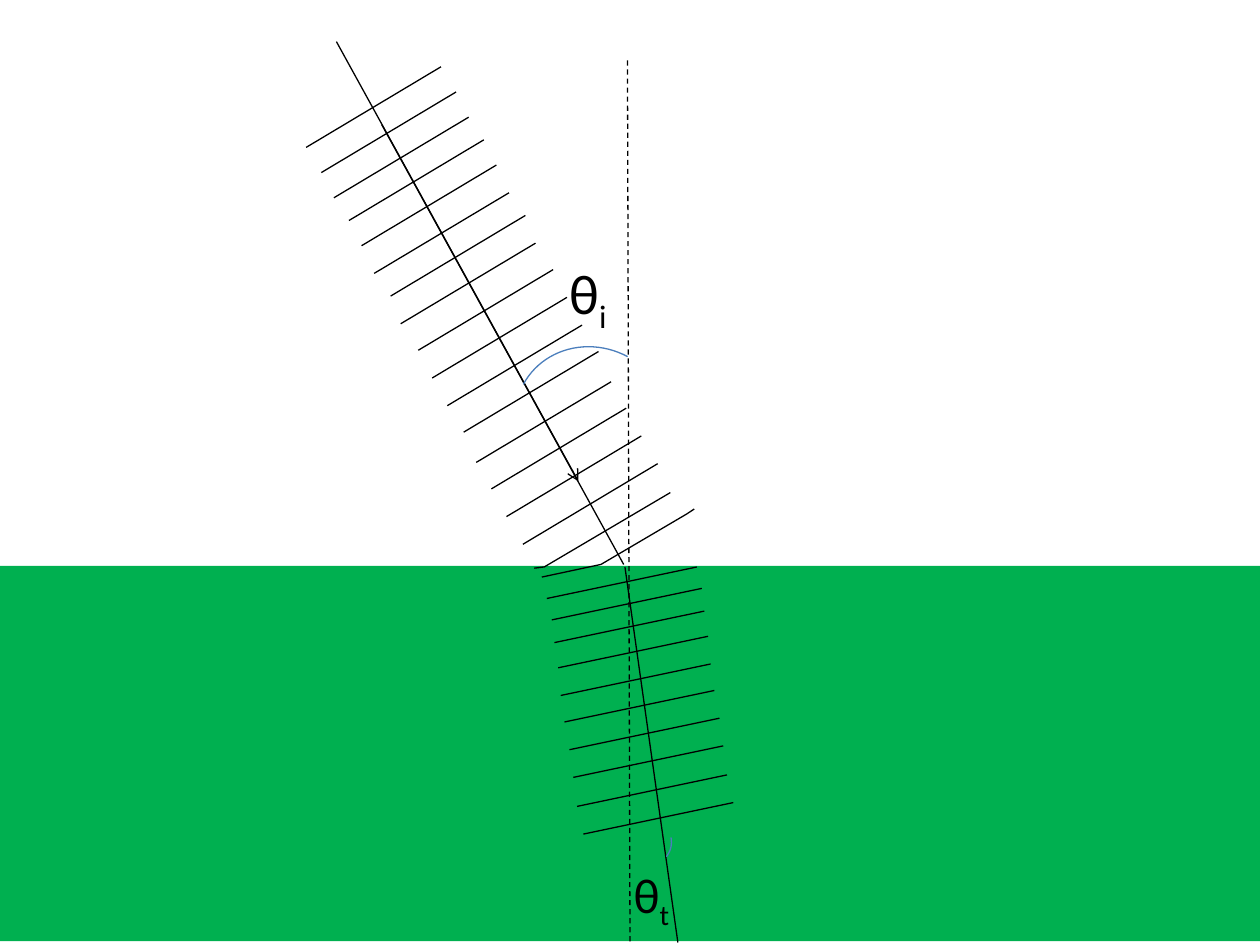
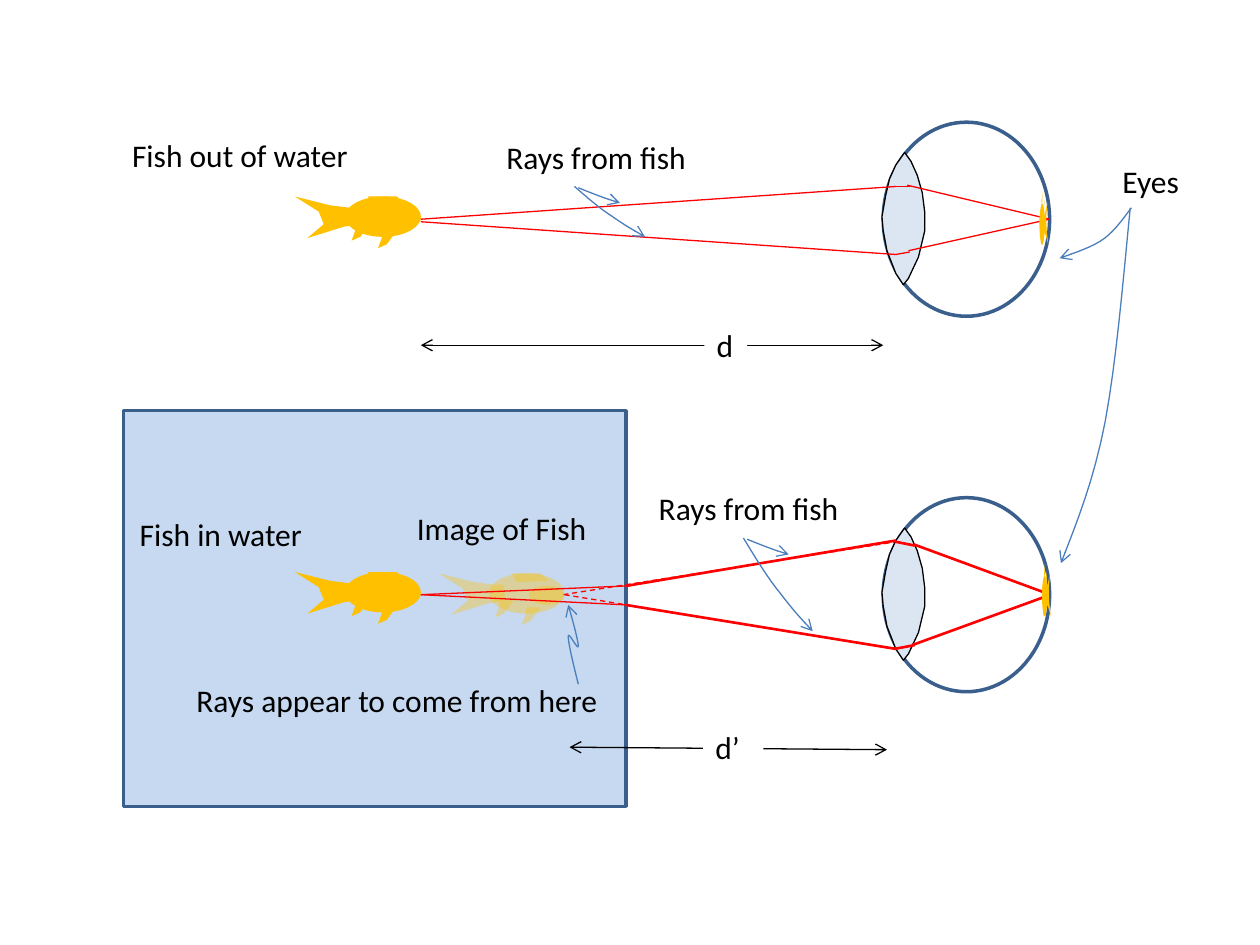
from typing import NamedTuple

from lxml.etree import SubElement
from pptx import Presentation
from pptx.dml.color import RGBColor
from pptx.enum.dml import MSO_LINE_DASH_STYLE as DASH
from pptx.enum.shapes import MSO_CONNECTOR as CONN, MSO_SHAPE as SHAPE
from pptx.enum.text import MSO_AUTO_SIZE as FIT
from pptx.oxml.ns import qn
from pptx.util import Inches, Pt

COLS, ROWS = 10, 7.5
SLIDE_W, SLIDE_H = Inches(COLS), Inches(ROWS)
FONT = "Calibri"
BLACK = RGBColor(0x00, 0x00, 0x00)
WHITE = RGBColor(0xFF, 0xFF, 0xFF)
GREEN = RGBColor(0x00, 0xB0, 0x50)
POINTER_BLUE = RGBColor(0x4B, 0x7E, 0xBC)
OUTLINE_BLUE = RGBColor(0x3A, 0x5F, 0x8C)
WATER_BLUE = RGBColor(0xC6, 0xD9, 0xF1)
LENS_BLUE = RGBColor(0xDC, 0xE6, 0xF2)
GOLD = RGBColor(0xFF, 0xC0, 0x00)
RED = RGBColor(0xFF, 0x00, 0x00)

INCIDENT_FRONTS = [
    (2.43, 1.17), (2.55, 1.37), (2.65, 1.57), (2.77, 1.75),
    (2.87, 1.95), (2.97, 2.17), (3.1, 2.35), (3.18, 2.57),
    (3.32, 2.78), (3.43, 3), (3.55, 3.22), (3.68, 3.43),
    (3.78, 3.67), (3.9, 3.88), (4.02, 4.1), (4.15, 4.32)]
BENT_FRONTS = [
    [(4.24, 4.51), (4.32, 4.5), (5.32, 3.91)],
    [(4.3, 4.58), (4.77, 4.48), (5.45, 4.08), (5.51, 4.04)]]
REFRACTED_FRONTS = [
    (4.34, 0.26), (4.38, 0.43), (4.4, 0.61), (4.43, 0.81), (4.45, 1.03),
    (4.48, 1.24), (4.52, 1.46), (4.55, 1.68), (4.58, 1.91), (4.63, 2.13)]

FISH_COLS, FISH_ROWS = 100, 41
FISH_OVALS = [(40, 0, 100, 32), (72, 10, 100, 25)]
FISH_TAIL = [(44, 9), (28, 7), (0, 0), (19, 12), (23, 22),
             (10, 33), (39, 24), (53, 22), (52, 9)]
FISH_FINS = [
    [(81, 27), (73, 38), (66, 41), (69, 33), (70, 27)],
    [(60, 21), (52, 32), (45, 35), (48, 27), (49, 22)],
    [(87, 6), (81, 0), (58, 0), (62, 7)]]
LENS = [(0.17, 0.24), (0.1, 0.34), (0.05, 0.45), (0.02, 0.58), (-0.01, 0.75),
        (0, 0.86), (0.03, 1.02), (0.1, 1.2), (0.16, 1.29), (0.2, 1.24),
        (0.28, 1.07), (0.33, 0.86), (0.33, 0.72), (0.31, 0.56),
        (0.27, 0.42), (0.22, 0.31)]


class Box(NamedTuple):
    """A region measured in grid columns and rows."""
    left: float
    top: float
    width: float
    height: float

    def at(self, x, y):
        """Return the grid point x columns and y rows into the box."""
        return self.left + x, self.top + y

    def share(self, u, v):
        """Return the grid point at shares u and v of the box."""
        return self.left + u * self.width, self.top + v * self.height

    def sub(self, x, y, width, height):
        """Return a box placed inside this one."""
        return Box(*self.at(x, y), width, height)

    def emu(self):
        """Return the box as slide lengths."""
        return (*emu(self.left, self.top), *emu(self.width, self.height))


def emu(x, y):
    """Turn columns and rows into slide lengths."""
    return round(x * SLIDE_W / COLS), round(y * SLIDE_H / ROWS)


def add_heads(sp, ends):
    """Put open arrowheads on the named ends of a line."""
    ln = sp._element.spPr.find(qn("a:ln"))
    for end in ends:
        SubElement(ln, qn(f"a:{end}")).set("type", "arrow")


def paint(sp, fill=None, line=None, width=0.75, alpha=None):
    """Set the fill, outline and opacity of a shape."""
    sp.shadow.inherit = False
    if fill is None:
        sp.fill.background()
    else:
        sp.fill.solid()
        sp.fill.fore_color.rgb = fill
        if alpha:
            color = sp._element.spPr.find(qn("a:solidFill"))[0]
            SubElement(color, qn("a:alpha")).set("val", str(alpha * 1000))
    if line is None:
        sp.line.fill.background()
    else:
        sp.line.color.rgb = line
        sp.line.width = Pt(width)
    return sp


def add_preset(shapes, kind, box, **style):
    """Add a painted preset shape."""
    return paint(shapes.add_shape(kind, *box.emu()), **style)


def add_outline(shapes, points, close=True, heads=(), **style):
    """Add a freeform through grid points."""
    first, *rest = [emu(*point) for point in points]
    builder = shapes.build_freeform(*first)
    builder.add_line_segments(rest, close=close)
    sp = paint(builder.convert_to_shape(), **style)
    add_heads(sp, heads)
    return sp


def add_line(shapes, start, end, color=BLACK, width=0.75, dash=False, heads=()):
    """Add a straight line between two grid points."""
    sp = shapes.add_connector(CONN.STRAIGHT, *emu(*start), *emu(*end))
    sp.line.color.rgb = color
    sp.line.width = Pt(width)
    if dash:
        sp.line.dash_style = DASH.DASH
    add_heads(sp, heads)
    SubElement(sp._element.spPr, qn("a:effectLst"))


def add_text(slide, box, text, size=18, subscript="", wrap=False, fill=None):
    """Add a label with an optional subscript."""
    sp = slide.shapes.add_textbox(*box.emu())
    if fill is not None:
        sp.fill.solid()
        sp.fill.fore_color.rgb = fill
    tf = sp.text_frame
    tf.word_wrap = wrap
    tf.auto_size = FIT.SHAPE_TO_FIT_TEXT
    p = tf.paragraphs[0]
    p.font.name, p.font.size, p.font.color.rgb = FONT, Pt(size), BLACK
    p.add_run().text = text
    if subscript:
        r = p.add_run()
        r.text = subscript
        r._r.get_or_add_rPr().set("baseline", "-25000")


def bezier(a, b, c, d, steps=8):
    """Return points along a cubic curve, without its start."""
    ts = [i / steps for i in range(1, steps + 1)]
    return [tuple((1 - t) ** 3 * i + 3 * (1 - t) ** 2 * t * j
                  + 3 * (1 - t) * t * t * k + t ** 3 * m
                  for i, j, k, m in zip(a, b, c, d)) for t in ts]


def add_pointer(slide, box, knots):
    """Add a curved arrow whose knots are shares of the box."""
    knots = [box.share(*knot) for knot in knots]
    points = knots[:1]
    for i in range(0, len(knots) - 1, 3):
        points += bezier(*knots[i:i + 4])
    add_outline(slide.shapes, points, close=False, heads=["tailEnd"],
                line=POINTER_BLUE)


def add_angle(slide, box, start=270, end=0):
    """Add an angle mark turned towards the ray."""
    arc = add_preset(slide.shapes, SHAPE.ARC, box, line=POINTER_BLUE)
    arc.adjustments[0], arc.adjustments[1] = start * 0.6, end * 0.6
    arc.rotation = 298.2


def add_incident_wave(slide, box):
    """Draw the ray and wavefronts above the boundary."""
    shapes = slide.shapes
    add_line(shapes, box.at(3.03, 0.99), box.at(4.95, 4.48))
    add_line(shapes, box.at(2.67, 0.33), box.at(4.59, 3.82), heads=["tailEnd"])
    for x, y in INCIDENT_FRONTS:
        add_line(shapes, box.at(x, y), box.at(x + 1.07, y - 0.64))
    for front in BENT_FRONTS:
        add_outline(shapes, [box.at(*point) for point in front],
                    close=False, line=BLACK)
    add_text(slide, box.sub(4.42, 2, 0.98, 0.64), "θ", 32, "i", wrap=True)
    add_angle(slide, box.sub(4.12, 2.72, 1.17, 1.25))


def add_refracted_wave(slide, box):
    """Draw the ray and wavefronts below the boundary."""
    add_line(slide.shapes, box.at(4.96, 0.01), box.at(5.38, 2.99))
    for x, y in REFRACTED_FRONTS:
        add_line(slide.shapes, box.at(x, y), box.at(x + 1.19, y - 0.25))
    add_text(slide, box.sub(4.93, 2.32, 0.98, 0.57), "θ", 28, "t", wrap=True)
    add_angle(slide, box.sub(4.86, 1.89, 0.43, 0.53), 62.07, 97.43)


def build_refraction(slide):
    """Build the slide of a wave that bends at a boundary."""
    air, medium = Box(0, 0, COLS, 4.49), Box(0, 4.49, COLS, 2.98)
    add_preset(slide.shapes, SHAPE.RECTANGLE, medium, fill=GREEN)
    add_line(slide.shapes, (4.98, 0.48), (5, 7.48), dash=True)
    add_incident_wave(slide, air)
    add_refracted_wave(slide, medium)


def add_fish(slide, box, flipped=False, alpha=None):
    """Draw a fish that fills the box, turned over if flipped."""
    def place(col, row):
        u, v = col / FISH_COLS, row / FISH_ROWS
        return box.share(1 - u, 1 - v) if flipped else box.share(u, v)

    shapes = slide.shapes.add_group_shape().shapes
    body, head = [
        sorted([place(*oval[:2]), place(*oval[2:])]) for oval in FISH_OVALS]
    outlines = [FISH_TAIL, *FISH_FINS]
    for part in (body, *outlines, head):
        if part in outlines:
            add_outline(shapes, [place(*point) for point in part],
                        fill=GOLD, alpha=alpha)
        else:
            (x0, y0), (x1, y1) = part
            oval = Box(x0, min(y0, y1), x1 - x0, abs(y1 - y0))
            add_preset(shapes, SHAPE.OVAL, oval, fill=GOLD, alpha=alpha)


def add_eye(slide, box):
    """Draw an eyeball with its lens."""
    add_preset(slide.shapes, SHAPE.OVAL, box, fill=WHITE,
               line=OUTLINE_BLUE, width=2)
    add_outline(slide.shapes, [box.at(*point) for point in LENS],
                fill=LENS_BLUE, line=BLACK)


def add_rays(slide, box, rays, **style):
    """Draw a group of red rays."""
    shapes = slide.shapes.add_group_shape().shapes
    for x0, y0, x1, y1 in rays:
        add_line(shapes, box.at(x0, y0), box.at(x1, y1), RED, **style)


def add_distance(slide, box, start, end, label, label_box):
    """Draw a dimension line with its label."""
    add_line(slide.shapes, box.at(*start), box.at(*end),
             heads=["headEnd", "tailEnd"])
    add_text(slide, box.sub(*label_box), label, wrap=True, fill=WHITE)


def add_ray_pointers(slide, box):
    """Point from a label to both rays."""
    add_pointer(slide, box, [(0, 0), (0.18, 0.22), (0.36, 0.44), (0.54, 0.6),
                             (0.7, 0.76), (0.85, 0.88), (1, 1)])
    add_pointer(slide, Box(box.left + 0.03, box.top + 0.01, 0.33, 0.12),
                [(0, 0), (0.18, 0.2), (0.36, 0.4), (0.54, 0.58),
                 (0.7, 0.75), (0.85, 0.88), (1, 1)])


def add_scene(slide, box):
    """Draw the fish and the eye that both scenes share."""
    add_eye(slide, box.sub(7.01, 0, 1.32, 1.54))
    add_fish(slide, box.sub(2.34, 0.59, 1, 0.41))


def add_dry_scene(slide, box):
    """Draw the fish seen through air."""
    add_scene(slide, box)
    add_rays(slide, box, [(3.34, 0.79, 7.11, 1.05), (8.33, 0.77, 7.21, 1.02),
                          (7.11, 1.05, 7.22, 1.03)])
    add_rays(slide, box, [(3.34, 0.77, 7.11, 0.51), (8.33, 0.77, 7.2, 0.5),
                          (7.11, 0.51, 7.22, 0.51)])
    add_distance(slide, box, (3.34, 1.77), (7.01, 1.77), "d",
                 (5.59, 1.57, 0.34, 0.4))
    add_text(slide, box.sub(0.95, 0.06, 1.93, 0.4), "Fish out of water")
    add_text(slide, box.sub(3.92, 0.08, 2.03, 0.4), "Rays from fish", wrap=True)
    add_ray_pointers(slide, box.sub(4.56, 0.51, 0.56, 0.4))
    add_fish(slide, box.sub(8.25, 0.56, 0.07, 0.41), flipped=True)


def add_wet_scene(slide, box):
    """Draw the fish in water and its nearer image."""
    add_preset(slide.shapes, SHAPE.RECTANGLE, box.sub(0.98, -0.69, 3.99, 3.14),
               fill=WATER_BLUE, line=OUTLINE_BLUE, width=2)
    add_scene(slide, box)
    add_rays(slide, box, [(4.47, 0.77, 7.11, 0.35), (4.48, 0.77, 7.1, 1.2)],
             dash=True)
    add_rays(slide, box, [(7.25, 0.37, 8.31, 0.76), (4.97, 0.7, 7.11, 0.34),
                          (7.11, 0.35, 7.26, 0.38)], width=1.5)
    add_rays(slide, box, [(7.24, 1.17, 8.31, 0.78), (4.96, 0.85, 7.11, 1.2),
                          (7.1, 1.2, 7.26, 1.17)], width=1.5)
    add_fish(slide, box.sub(3.48, 0.6, 1, 0.41), alpha=34)
    add_rays(slide, box, [(3.34, 0.77, 4.98, 0.7), (3.34, 0.77, 4.96, 0.85)])
    add_distance(slide, box, (4.52, 1.98), (7.04, 2), "d’",
                 (5.58, 1.78, 0.48, 0.4))
    add_text(slide, box.sub(1.46, 1.41, 3.42, 0.4),
             "Rays appear to come from here")
    add_text(slide, box.sub(1.01, 0.09, 1.51, 0.4), "Fish in water")
    add_text(slide, box.sub(3.21, 0.04, 1.62, 0.4), "Image of Fish")
    add_text(slide, box.sub(5.13, -0.12, 1.73, 0.4), "Rays from fish", wrap=True)
    add_ray_pointers(slide, box.sub(5.9, 0.32, 0.55, 0.74))
    add_pointer(slide, box.sub(4.51, 0.85, 0.08, 0.63),
                [(1, 1), (0.5, 0.75), (0, 0.48), (0, 0.4), (0, 0.32),
                 (1, 0.59), (1, 0.52), (1, 0.46), (0.5, 0.22), (0, 0)])
    add_fish(slide, box.sub(8.27, 0.53, 0.07, 0.41), flipped=True)


def build_apparent_depth(slide):
    """Build the slide that compares fish in and out of water."""
    add_dry_scene(slide, Box(0, 0.97, COLS, 2))
    add_wet_scene(slide, Box(0, 3.95, COLS, 2.45))
    add_text(slide, Box(8.81, 1.24, 0.65, 0.4), "Eyes")
    add_pointer(slide, Box(8.41, 1.65, 0.57, 0.4),
                [(1, 0), (0.89, 0.2), (0.79, 0.42), (0.63, 0.6),
                 (0.46, 0.78), (0.23, 0.88), (0, 1)])
    add_pointer(slide, Box(8.42, 1.65, 0.55, 2.82),
                [(1, 0), (0.89, 0.22), (0.8, 0.43), (0.64, 0.6),
                 (0.47, 0.77), (0.24, 0.88), (0, 1)])


def main():
    """Build both slides and save the deck."""
    prs = Presentation()
    prs.slide_width, prs.slide_height = SLIDE_W, SLIDE_H
    for build in (build_refraction, build_apparent_depth):
        build(prs.slides.add_slide(prs.slide_layouts[6]))
    prs.save("out.pptx")


if __name__ == "__main__":
    main()
